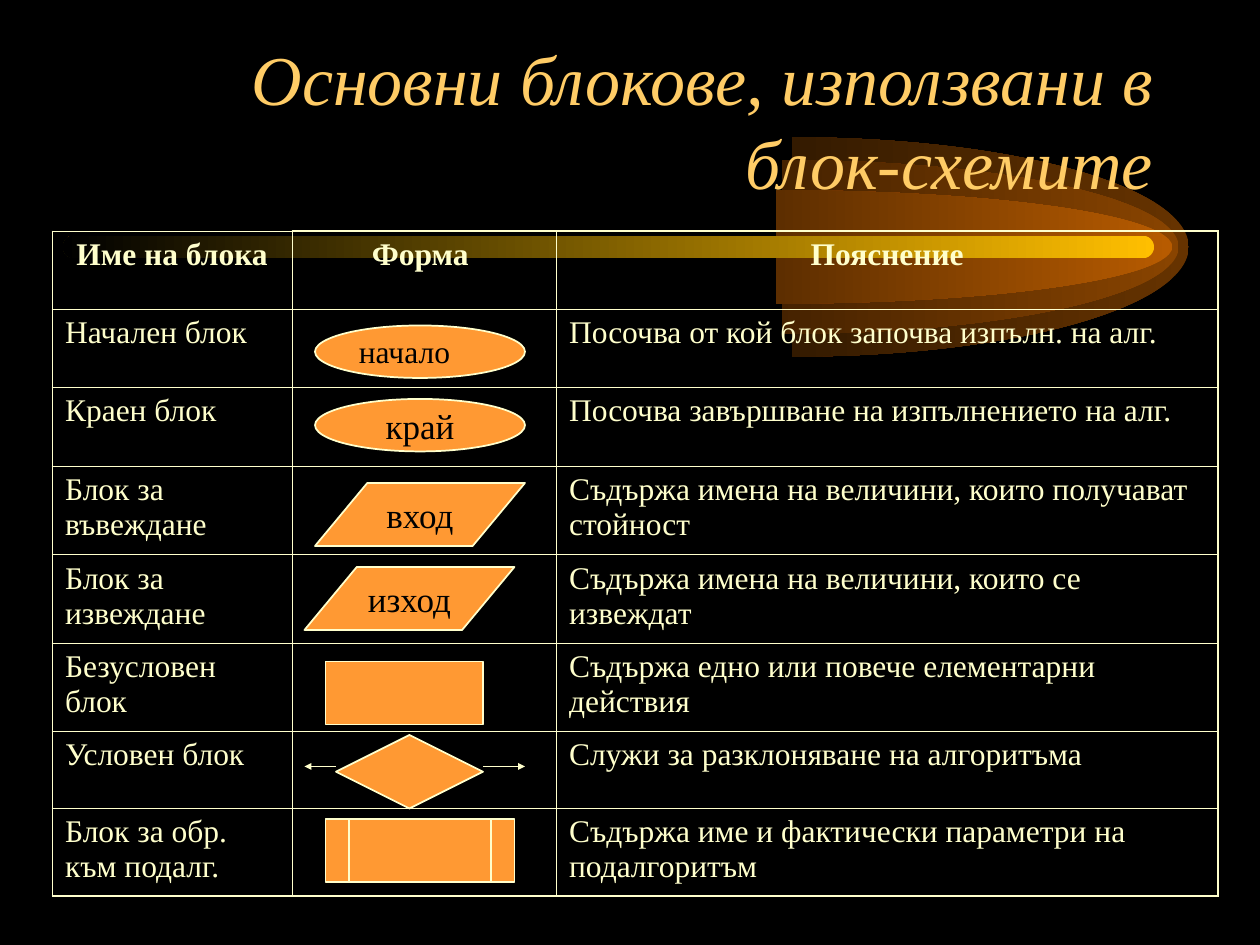
"""Build a slide with a table of the basic flowchart blocks."""
from lxml import etree
from pptx import Presentation, util as u
from pptx.dml.color import RGBColor
from pptx.enum import shapes as kinds, text as txt
from pptx.oxml import ns

BLACK = RGBColor(0, 0, 0)
GOLD = RGBColor(0xFF, 0xCC, 0x66)
CREAM = RGBColor(0xFF, 0xFF, 0xCC)
ORANGE = RGBColor(0xFF, 0x99, 0x33)
AMBER = RGBColor(0xFF, 0xBF, 0x00)
FONT = "Times New Roman"
TITLE = "Основни блокове, използвани в блок-схемите"
ROWS = [
    ("Име на блока", "Форма ", "Пояснение"),
    ("Начален блок", "", "Посочва от кой блок започва изпълн. на алг."),
    ("Краен блок", "", "Посочва завършване на изпълнението на алг."),
    ("Блок за въвеждане", "", "Съдържа имена на величини, които получават стойност"),
    ("Блок за извеждане", "", "Съдържа имена на величини, които се извеждат"),
    ("Безусловен блок", "", "Съдържа едно или повече елементарни действия"),
    ("Условен блок", "", "Служи за разклоняване на алгоритъма"),
    ("Блок за обр. към подалг.", "", "Съдържа име и фактически параметри на подалгоритъм"),
]
WIDTHS = (1.9, 2.1, 5.25)
HEIGHTS = (0.62, 0.62, 0.63, 0.7, 0.7, 0.7, 0.61, 0.7)
KIND = kinds.MSO_SHAPE
BLOCKS = [  # kind, left, top, width, height in twelfths of an inch, label
    (KIND.OVAL, 30, 31, 20, 5, ""),
    (KIND.OVAL, 30, 38, 20, 5, "край"),
    (KIND.PARALLELOGRAM, 30, 46, 20, 6, "вход"),
    (KIND.PARALLELOGRAM, 29, 54, 20, 6, "изход"),
    (KIND.RECTANGLE, 31, 63, 15, 6, ""),
    (KIND.DIAMOND, 32, 70, 14, 7, ""),
    (KIND.FLOWCHART_PREDEFINED_PROCESS, 31, 78, 18, 6, ""),
]
ARROWS = [(46, 50), (32, 29)]
COMET = [  # centre, half height, colour
    (6.29, 0.87, RGBColor(0x66, 0x33, 0)),
    (6.21, 0.69, RGBColor(0x89, 0x44, 0)),
    (6.16, 0.45, RGBColor(0xB7, 0x5B, 0)),
]
MIDDLE, REACH = 1.96, 3.13
ARC = [(0, -1), (0.36, -1), (0.69, -0.81), (0.87, -0.5), (1.05, -0.19),
       (1.05, 0.19), (0.87, 0.5), (0.69, 0.81), (0.36, 1), (0, 1)]


def cell12(*nums):
    return [u.Inches(n / 12) for n in nums]


def style(para, size, color, align=txt.PP_ALIGN.LEFT):
    para.alignment = align
    para.font.name, para.font.size = FONT, u.Pt(size)
    para.font.color.rgb = color


def fade(shape, color):
    shape.shadow.inherit = False
    shape.line.fill.background()
    shape.fill.gradient()
    shape.fill.gradient_angle = 180
    for stop, tone in zip(shape.fill.gradient_stops, (color, BLACK)):
        stop.color.rgb = tone


def half_oval(slide, mid, half):
    pts = [(u.Inches(mid + REACH * x), u.Inches(MIDDLE + half * y)) for x, y in ARC]
    form = slide.shapes.build_freeform(u.Inches(mid - REACH), u.Inches(MIDDLE))
    form.move_to(*pts[0])
    form.add_line_segments(pts[1:], close=True)
    shape = form.convert_to_shape()
    shape.width = u.Inches(2 * REACH)
    route = shape.element.find(".//" + ns.qn("a:path"))
    route.set("w", str(shape.width))
    route.remove(route[0])
    lines = route.findall(ns.qn("a:lnTo"))
    for i in range(0, len(lines), 3):
        curve = etree.Element(ns.qn("a:cubicBezTo"))
        lines[i].addprevious(curve)
        for line in lines[i:i + 3]:
            curve.append(line[0])
            route.remove(line)
    return shape


def draw_comet(slide):
    for mid, half, color in COMET:
        fade(half_oval(slide, mid, half), color)
    bar = slide.shapes.add_shape(KIND.ROUNDED_RECTANGLE, *map(u.Inches, (0.5, 1.87, 8.66, 0.18)))
    bar.adjustments[0] = 0.5
    fade(bar, AMBER)


def set_edges(cell, row, col):
    outer = (col == 0, col == len(WIDTHS) - 1, row == 0 < col, row == len(ROWS) - 1)
    props = cell._tc.get_or_add_tcPr()
    for i, (side, thick) in enumerate(zip("LRTB", outer)):
        line = etree.Element(ns.qn(f"a:ln{side}"), w=str(u.Pt(1.08 if thick else 0.45)))
        fill = etree.SubElement(line, ns.qn("a:solidFill"))
        etree.SubElement(fill, ns.qn("a:srgbClr"), val=str(CREAM))
        props.insert(i, line)


def draw_table(slide):
    box = cell12(5, 22, 12 * sum(WIDTHS), 12 * sum(HEIGHTS))
    table = slide.shapes.add_table(len(ROWS), len(WIDTHS), *box).table
    table.first_row = table.horz_banding = False
    for col, width in zip(table.columns, WIDTHS):
        col.width = u.Inches(width)
    for r, (row, height) in enumerate(zip(ROWS, HEIGHTS)):
        table.rows[r].height = u.Inches(height)
        for c, words in enumerate(row):
            cell = table.cell(r, c)
            cell.fill.background()
            set_edges(cell, r, c)
            if not words:
                continue
            cell.text = words
            para = cell.text_frame.paragraphs[0]
            style(para, 18, CREAM, txt.PP_ALIGN.LEFT if r else txt.PP_ALIGN.CENTER)
            para.space_before = u.Pt(4.5)
            para.font.bold = r == 0


def draw_blocks(slide):
    for kind, *box, label in BLOCKS:
        block = slide.shapes.add_shape(kind, *cell12(*box))
        block.shadow.inherit = False
        block.fill.solid()
        block.fill.fore_color.rgb = ORANGE
        block.line.color.rgb, block.line.width = CREAM, u.Pt(1)
        if kind == KIND.PARALLELOGRAM:
            block.adjustments[0] = 0.83
        if label:
            block.text_frame.text = label
            block.text_frame.word_wrap = False
            style(block.text_frame.paragraphs[0], 20, BLACK, txt.PP_ALIGN.CENTER)
    start = slide.shapes.add_textbox(*cell12(33, 31, 15, 4.8)).text_frame
    start.word_wrap = True
    start.text = "начало"
    style(start.paragraphs[0], 18, BLACK)
    for tail, tip in ARROWS:
        arrow = slide.shapes.add_connector(
            kinds.MSO_CONNECTOR.STRAIGHT, *cell12(tail, 73, tip, 73))
        arrow.line.color.rgb, arrow.line.width = CREAM, u.Pt(1)
        etree.SubElement(arrow.line._get_or_add_ln(), ns.qn("a:tailEnd"),
                         type="triangle", w="sm", len="sm")
        etree.SubElement(arrow._element.spPr, ns.qn("a:effectLst"))


def set_title(slide):
    title = slide.shapes.title
    title.left, title.top, title.width, title.height = cell12(9, 5, 102, 15)
    frame = title.text_frame
    frame.text = TITLE
    frame.auto_size = txt.MSO_AUTO_SIZE.NONE
    frame.vertical_anchor = txt.MSO_ANCHOR.BOTTOM
    style(frame.paragraphs[0], 40, GOLD, txt.PP_ALIGN.RIGHT)
    frame.paragraphs[0].font.italic = True
    title.element.getparent().append(title.element)


def main():
    deck = Presentation()
    deck.slide_width, deck.slide_height = u.Inches(10), u.Inches(7.5)
    slide = deck.slides.add_slide(deck.slide_layouts[5])
    slide.background.fill.solid()
    slide.background.fill.fore_color.rgb = BLACK
    for step in (draw_comet, set_title, draw_table, draw_blocks):
        step(slide)
    deck.save("out.pptx")


if __name__ == "__main__":
    main()
